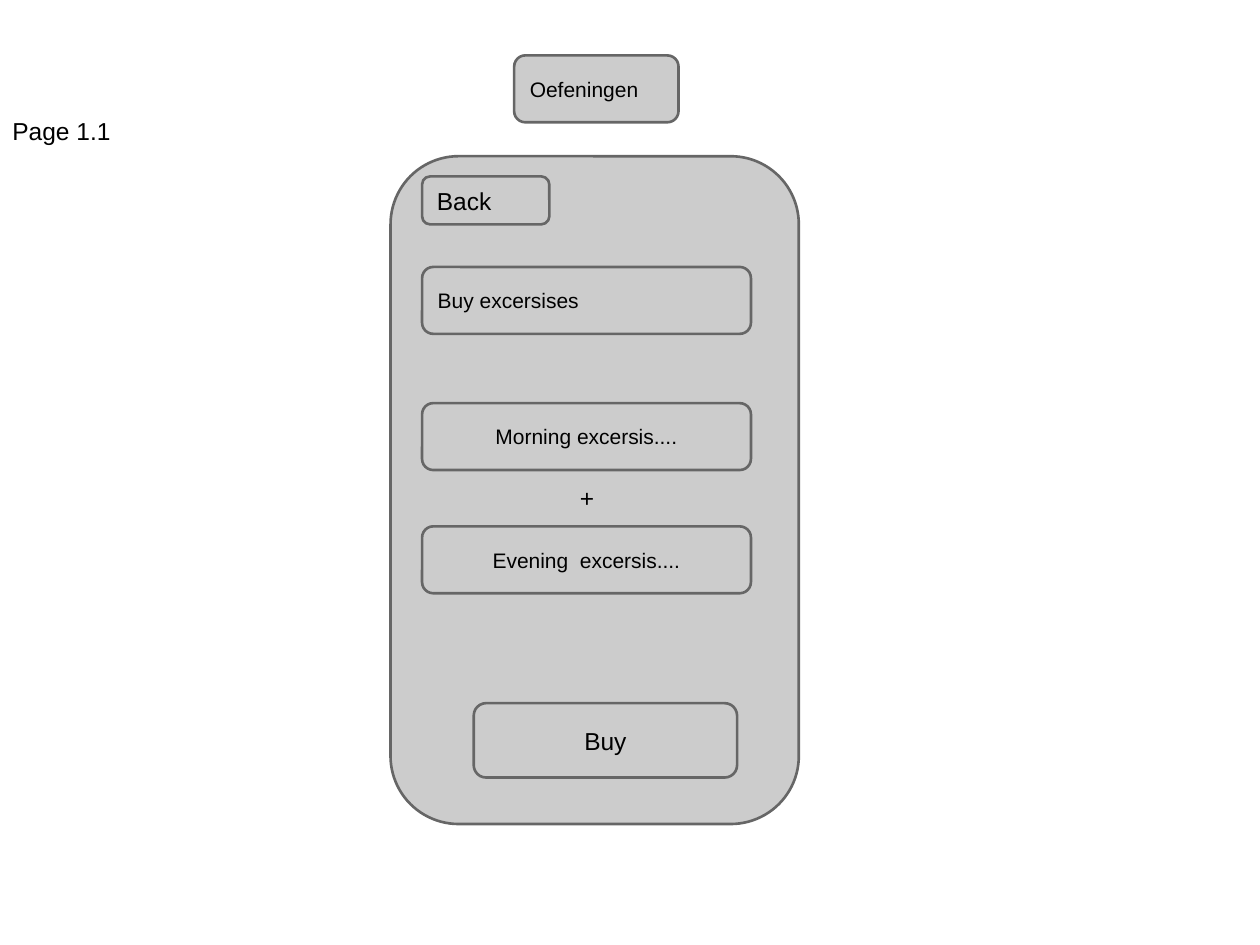
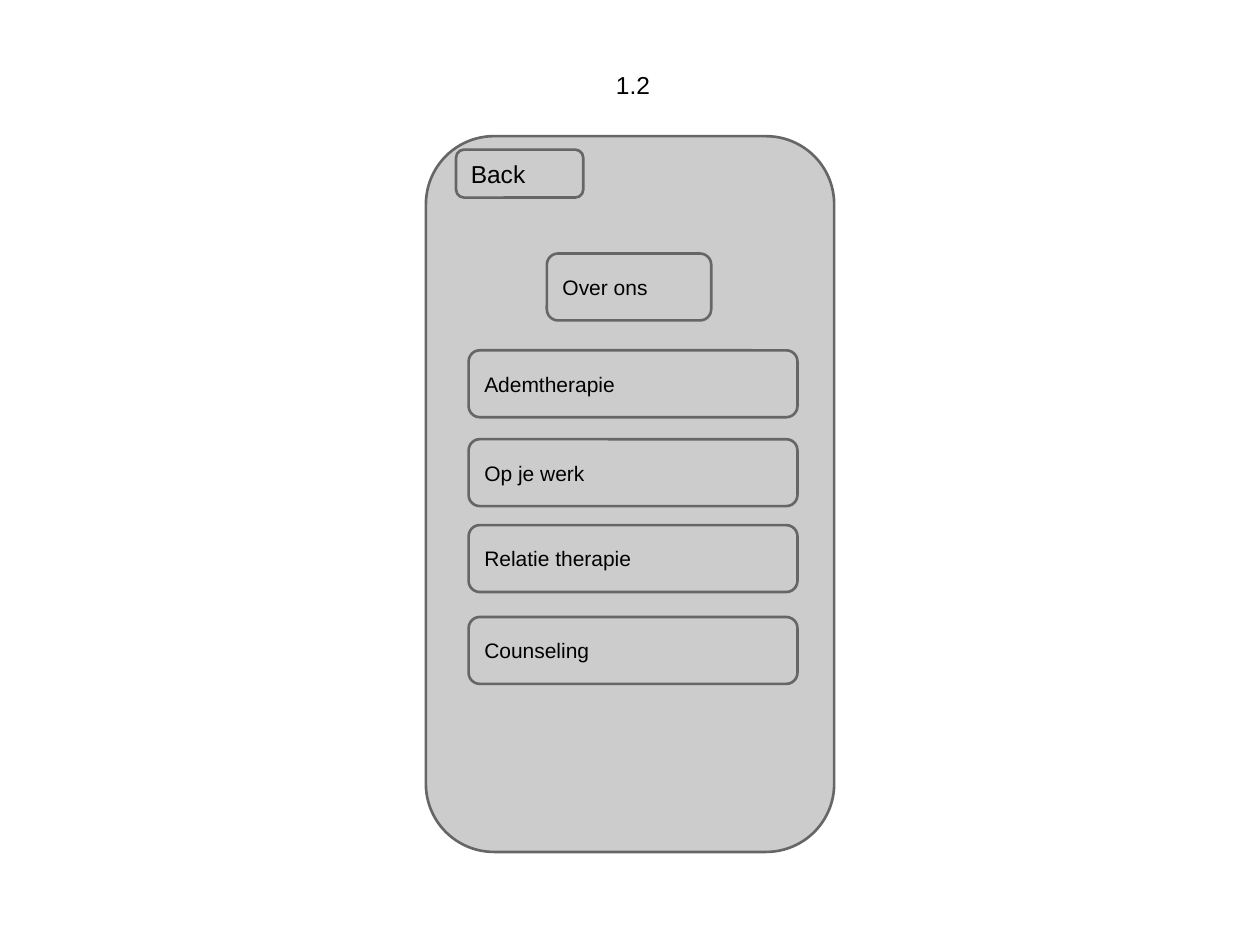
from pptx import Presentation
from pptx.dml.color import RGBColor
from pptx.enum.shapes import MSO_SHAPE
from pptx.enum.text import MSO_ANCHOR, PP_ALIGN
from pptx.util import Pt

FONT, INK, GREY, BORDER = "Arial", "000000", "CCCCCC", "666666"
PHONE_W = 233.3
BACK = (72.7, 27.4)
TITLE = (93.9, 38.2)
ROW = (187.9, 38.2)
BUY = (150.5, 42.5)
SMALL, LARGE = 12, 14

# Positions are (left, top); a button is text, position, size, font size, centred.
SCREENS = [
    {
        "phone": (223.2, 89.3, 381.6),
        "labels": [
            ("Page 1.1", (0, 59), (288, 36), False),
            ("+", (298.1, 268.6), (74.9, 23.8), True),
        ],
        "buttons": [
            ("Oefeningen", (293.8, 31.7), TITLE, SMALL, False),
            ("Back", (241.2, 100.8), BACK, LARGE, False),
            ("Buy excersises", (241.2, 152.6), ROW, SMALL, False),
            ("Morning excersis....", (241.2, 230.4), ROW, SMALL, True),
            ("Evening  excersis....", (241.2, 300.8), ROW, SMALL, True),
            ("Buy", (270.7, 401.8), BUY, LARGE, True),
        ],
    },
    {
        "phone": (243.4, 77.8, 409),
        "labels": [("1.2", (325.4, 33.1), (72.7, 36), True)],
        "buttons": [
            ("Back", (260.6, 85.5), BACK, LARGE, False),
            ("Over ons", (312.5, 144.9), TITLE, SMALL, False),
            ("Ademtherapie", (267.8, 200.2), ROW, SMALL, False),
            ("Op je werk", (267.8, 251), ROW, SMALL, False),
            ("Relatie therapie", (267.8, 300.1), ROW, SMALL, False),
            ("Counseling", (267.8, 352.6), ROW, SMALL, False),
        ],
    },
]


def rgb(value):
    return RGBColor.from_string(value)


def write(sp, text, size=LARGE, centred=False, anchor=MSO_ANCHOR.TOP):
    tf = sp.text_frame
    tf.word_wrap = True
    tf.vertical_anchor = anchor
    tf.margin_left = tf.margin_right = tf.margin_top = tf.margin_bottom = Pt(7.2)
    p = tf.paragraphs[0]
    p.alignment = PP_ALIGN.CENTER if centred else PP_ALIGN.LEFT
    r = p.add_run()
    r.text = text
    r.font.name, r.font.size = FONT, Pt(size)
    r.font.color.rgb = rgb(INK)


def add_panel(s, *box):
    sp = s.shapes.add_shape(MSO_SHAPE.ROUNDED_RECTANGLE, *map(Pt, box))
    sp.shadow.inherit = False
    sp.fill.solid()
    sp.fill.fore_color.rgb = rgb(GREY)
    sp.line.color.rgb = rgb(BORDER)
    sp.line.width = Pt(1.5)
    return sp


def add_screen(prs, screen):
    s = prs.slides.add_slide(prs.slide_layouts[6])
    left, top, height = screen["phone"]
    add_panel(s, left, top, PHONE_W, height)
    for text, pos, box, size, centred in screen["buttons"]:
        write(add_panel(s, *pos, *box), text, size=size, centred=centred,
              anchor=MSO_ANCHOR.MIDDLE)
    for text, pos, box, centred in screen["labels"]:
        write(s.shapes.add_textbox(*map(Pt, pos + box)), text, centred=centred)


def main():
    prs = Presentation()
    prs.slide_width, prs.slide_height = Pt(720), Pt(540)
    for screen in SCREENS:
        add_screen(prs, screen)
    prs.save("out.pptx")


if __name__ == "__main__":
    main()
